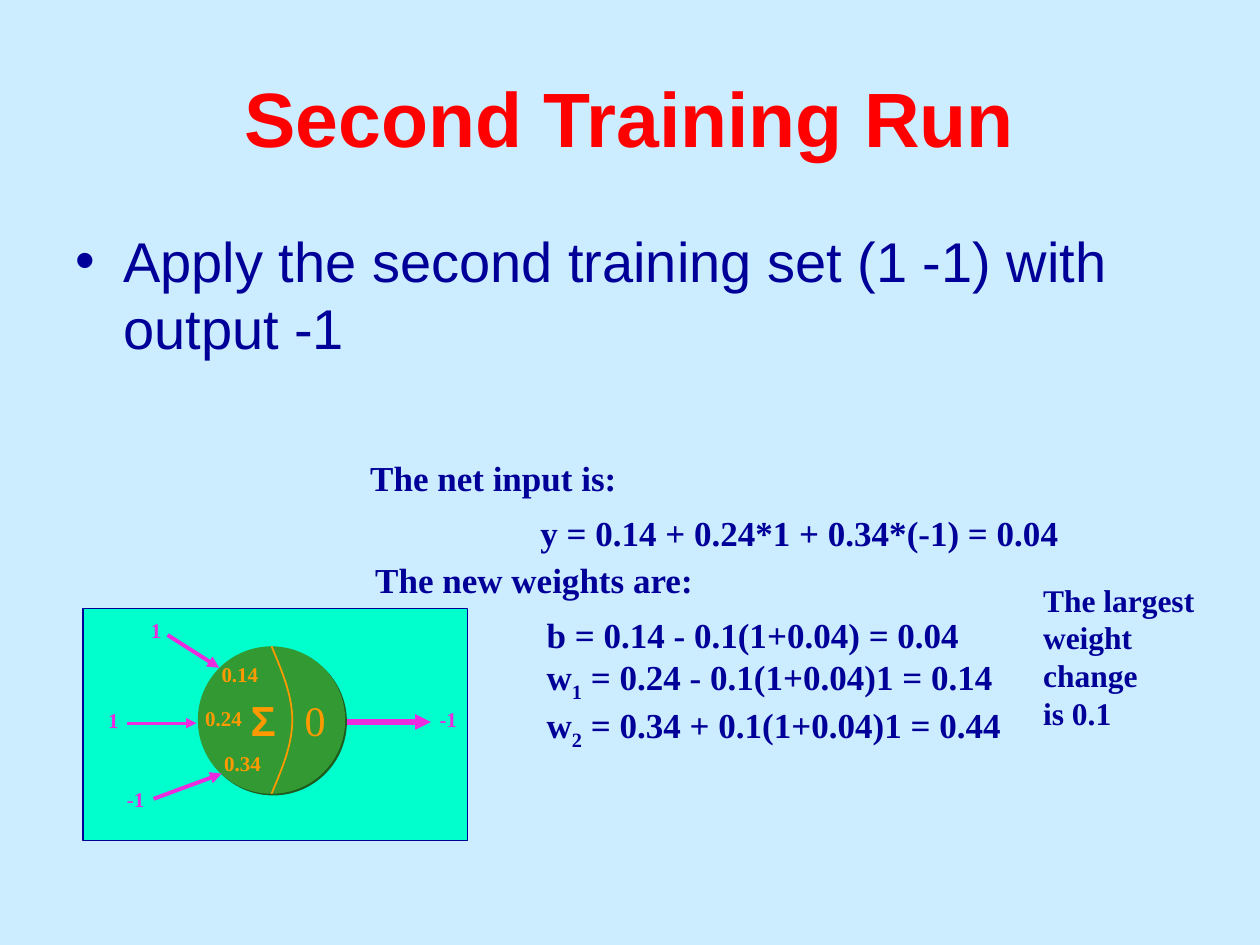
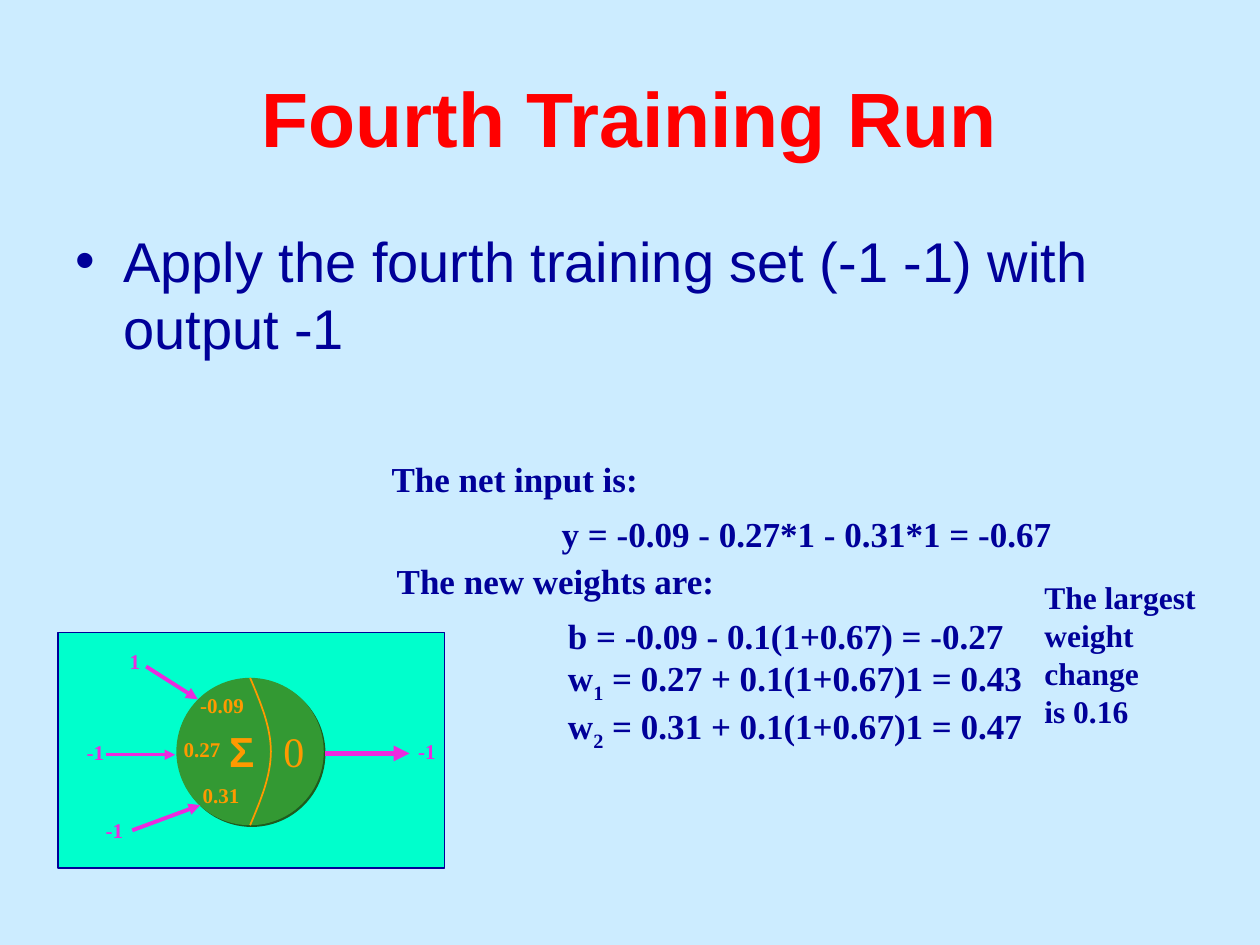
from dataclasses import dataclass

from lxml import etree
from pptx import Presentation
from pptx.dml.color import RGBColor
from pptx.enum.shapes import MSO_CONNECTOR, MSO_SHAPE
from pptx.enum.text import MSO_ANCHOR, MSO_AUTO_SIZE, PP_ALIGN
from pptx.oxml.ns import qn
from pptx.util import Inches, Pt

RECTANGLE = MSO_SHAPE.RECTANGLE
OVAL = MSO_SHAPE.OVAL
STRAIGHT = MSO_CONNECTOR.STRAIGHT
MIDDLE = MSO_ANCHOR.MIDDLE
FIT_SHAPE = MSO_AUTO_SIZE.SHAPE_TO_FIT_TEXT
LEFT, CENTER = PP_ALIGN.LEFT, PP_ALIGN.CENTER
BLANK_LAYOUT = 6


@dataclass(frozen=True)
class Style:
    size: float
    color: str
    font: str = "Times New Roman"
    bold: bool = True


class Theme:
    background = "CCECFF"
    ink = "000099"
    panel = "00FFCC"
    cell = "339933"
    cell_shadow = "1E5B1E"
    weight_color = "FF9900"
    signal_color = "EC2ADE"

    title = Style(44, "FF0000", "Arial")
    body = Style(32, ink, "Arial", False)
    equation = Style(20, ink)
    remark = Style(18, ink)
    weight = Style(12, weight_color)
    signal = Style(12, signal_color)
    sum_sign = Style(24, weight_color, "Arial")
    threshold = Style(24, weight_color, bold=False)


@dataclass(frozen=True)
class TrainingRun:
    title: str
    task: str
    panel: tuple
    cell: tuple
    inputs: tuple
    weights: tuple
    output: str
    equations: tuple
    net_input: str
    new_weights: tuple
    remark: tuple
    change: str


RUNS = (
    TrainingRun(
        title="Second Training Run",
        task="Apply the second training set (1 -1) with output -1",
        panel=(0.66, 4.83, 3.05, 1.84),
        cell=(1.57, 5.13),
        inputs=("1", "1", "-1"),
        weights=("0.14", "0.24", "0.34"),
        output="-1",
        equations=(2.84, 3.57),
        net_input="y = 0.14 + 0.24*1 + 0.34*(-1) = 0.04",
        new_weights=("b = 0.14 - 0.1(1+0.04) = 0.04",
                     " = 0.24 - 0.1(1+0.04)1 = 0.14",
                     " = 0.34 + 0.1(1+0.04)1 = 0.44"),
        remark=(8.18, 4.56),
        change="is 0.1",
    ),
    TrainingRun(
        title="Fourth Training Run",
        task="Apply the fourth training set (-1 -1) with output -1",
        panel=(0.46, 5.02, 3.07, 1.87),
        cell=(1.4, 5.38),
        inputs=("1", "-1", "-1"),
        weights=("-0.09", "0.27", "0.31"),
        output="-1",
        equations=(3.01, 3.58),
        net_input="y = -0.09 - 0.27*1 - 0.31*1 = -0.67",
        new_weights=("b = -0.09 - 0.1(1+0.67) = -0.27",
                     " = 0.27 + 0.1(1+0.67)1 = 0.43",
                     " = 0.31 + 0.1(1+0.67)1 = 0.47"),
        remark=(8.19, 4.54),
        change="is 0.16",
    ),
)

# Places inside the neuron, measured from the cell's top left corner.
CELL_SIZE = 1.17
ARC_DEPTH = 0.165
INPUT_LABELS = ((-0.47, -0.28), (-0.81, 0.44), (-0.66, 1.06))
WEIGHT_LABELS = ((0.09, 0.07), (-0.04, 0.42), (0.11, 0.78))
OUTPUT_LABEL = (1.82, 0.43)
SUM_LABEL = (0.32, 0.33)
THRESHOLD_LABEL = (0.75, 0.33)
ARROWS = (
    ((-0.24, -0.09), (0.17, 0.17), 2.25),
    ((-0.56, 0.61), (-0.01, 0.61), 1.5),
    ((-0.35, 1.21), (0.19, 1.01), 2.25),
    ((1.18, 0.6), (1.85, 0.6), 3),
)
LABEL_SIZE = (0.65, 0.3)
SIGN_SIZE = (0.5, 0.5)


def rgb(color):
    return RGBColor.from_string(color)


def shift(origin, offset):
    return origin[0] + offset[0], origin[1] + offset[1]


def add_span(para, text, style, baseline=0):
    span = para.add_run()
    span.text = text
    span.font.size = Pt(style.size)
    span.font.name = style.font
    span.font.bold = style.bold
    span.font.color.rgb = rgb(style.color)
    if baseline:
        span.font._element.set("baseline", str(baseline * 1000))


def add_text(shapes, place, size, paragraphs, style, wrap=False, align=LEFT):
    """Each paragraph is a list of (text, baseline percent) spans."""
    box = shapes.add_textbox(*map(Inches, (*place, *size)))
    frame = box.text_frame
    frame.word_wrap = wrap
    if not wrap:
        frame.auto_size = FIT_SHAPE
    for number, spans in enumerate(paragraphs):
        para = frame.paragraphs[0] if number == 0 else frame.add_paragraph()
        para.alignment = align
        for text, baseline in spans:
            add_span(para, text, style, baseline)
    return box


def add_line_of_text(shapes, place, size, text, style, **options):
    return add_text(shapes, place, size, [[(text, 0)]], style, **options)


def add_bullet(para):
    properties = para._p.get_or_add_pPr()
    properties.set("marL", str(Inches(0.38)))
    properties.set("indent", str(-Inches(0.38)))
    color = etree.SubElement(properties, qn("a:buClr"))
    etree.SubElement(color, qn("a:srgbClr"), val=Theme.ink)
    etree.SubElement(properties, qn("a:buFont"), typeface=Theme.body.font)
    etree.SubElement(properties, qn("a:buChar"), char="•")


def add_filled_shape(shapes, kind, place, size, fill):
    shape = shapes.add_shape(kind, *map(Inches, (*place, *size)))
    shape.shadow.inherit = False
    shape.fill.solid()
    shape.fill.fore_color.rgb = rgb(fill)
    shape.line.fill.background()
    return shape


def set_line(shape, color, width):
    shape.line.color.rgb = rgb(color)
    shape.line.width = Pt(width)


def cast_shadow(shape, color):
    effects = shape._element.spPr.find(qn("a:effectLst"))
    shadow = etree.SubElement(effects, qn("a:outerShdw"), dist=str(Pt(1.4)),
                              dir=str(45 * 60000), algn="ctr", rotWithShape="0")
    etree.SubElement(shadow, qn("a:srgbClr"), val=color)


def add_arrow(shapes, start, end, width):
    arrow = shapes.add_connector(STRAIGHT, *map(Inches, (*start, *end)))
    set_line(arrow, Theme.signal_color, width)
    etree.SubElement(arrow.line._get_or_add_ln(), qn("a:tailEnd"), type="triangle")
    etree.SubElement(arrow._element.spPr, qn("a:effectLst"))


def add_divider_arc(shapes, cell, steps=16):
    """Draw the curve that parts the sum from the threshold."""
    half = CELL_SIZE / 2
    upper = []
    for step in range(steps + 1):
        t = step / steps
        bulge = 3 * (1 - t) ** 2 * t * ARC_DEPTH / 2 + (3 - 2 * t) * t ** 2 * ARC_DEPTH
        upper.append((bulge, half * t))
    lower = [(x, CELL_SIZE - y) for x, y in reversed(upper[:-1])]
    top = shift(cell, (half, 0))
    points = [tuple(map(Inches, shift(top, point))) for point in upper + lower]
    builder = shapes.build_freeform(*points[0])
    builder.add_line_segments(points[1:], close=False)
    arc = builder.convert_to_shape()
    arc.shadow.inherit = False
    arc.fill.background()
    set_line(arc, Theme.weight_color, 1)


def add_neuron(page, run):
    shapes = page.shapes.add_group_shape().shapes
    panel = add_filled_shape(shapes, RECTANGLE, run.panel[:2], run.panel[2:], Theme.panel)
    set_line(panel, Theme.ink, 0.75)
    cell = add_filled_shape(shapes, OVAL, run.cell, (CELL_SIZE, CELL_SIZE), Theme.cell)
    cast_shadow(cell, Theme.cell_shadow)
    add_divider_arc(shapes, run.cell)
    add_line_of_text(shapes, shift(run.cell, THRESHOLD_LABEL), SIGN_SIZE, "0", Theme.threshold)
    add_line_of_text(shapes, shift(run.cell, SUM_LABEL), SIGN_SIZE, "Σ", Theme.sum_sign)
    for start, end, width in ARROWS:
        add_arrow(shapes, shift(run.cell, start), shift(run.cell, end), width)
    for offset, text in zip(WEIGHT_LABELS, run.weights):
        add_line_of_text(shapes, shift(run.cell, offset), LABEL_SIZE, text, Theme.weight)
    for offset, text in zip((*INPUT_LABELS, OUTPUT_LABEL), (*run.inputs, run.output)):
        # A narrow box keeps the output label inside the panel.
        add_line_of_text(shapes, shift(run.cell, offset), (0.36, 0.3), text, Theme.signal)


def add_heading(page, run):
    title = add_line_of_text(page.shapes, (0.5, 0.3), (9, 1.25), run.title, Theme.title,
                             wrap=True, align=CENTER)
    title.text_frame.vertical_anchor = MIDDLE
    task = add_line_of_text(page.shapes, (0.5, 1.75), (9, 1.34), run.task, Theme.body, wrap=True)
    para = task.text_frame.paragraphs[0]
    para.space_before = Pt(8)
    add_bullet(para)


def add_equations(page, run):
    lines = (
        ((0, 0), 2.4, "The net input is:"),
        ((1.35, 0.44), 4.6, run.net_input),
        ((0.04, 0.81), 3, "The new weights are:"),
    )
    for offset, width, text in lines:
        add_line_of_text(page.shapes, shift(run.equations, offset), (width, 0.44),
                         text, Theme.equation)
    bias, *weights = run.new_weights
    paragraphs = [[(bias, 0)]]
    for number, text in enumerate(weights, start=1):
        paragraphs.append([("w", 0), (str(number), -25), (text, 0)])
    add_text(page.shapes, shift(run.equations, (1.4, 1.25)), (4.1, 1.19),
             paragraphs, Theme.equation)


def add_remark(page, run):
    paragraphs = [[("The largest weight change", 0)], [(run.change, 0)]]
    add_text(page.shapes, run.remark, (1.59, 1.3), paragraphs, Theme.remark, wrap=True)


def main():
    deck = Presentation()
    deck.slide_width, deck.slide_height = Inches(10), Inches(7.5)
    backdrop = deck.slide_master.background.fill
    backdrop.solid()
    backdrop.fore_color.rgb = rgb(Theme.background)
    for run in RUNS:
        page = deck.slides.add_slide(deck.slide_layouts[BLANK_LAYOUT])
        add_heading(page, run)
        add_neuron(page, run)
        add_equations(page, run)
        add_remark(page, run)
    deck.save("out.pptx")


if __name__ == "__main__":
    main()
